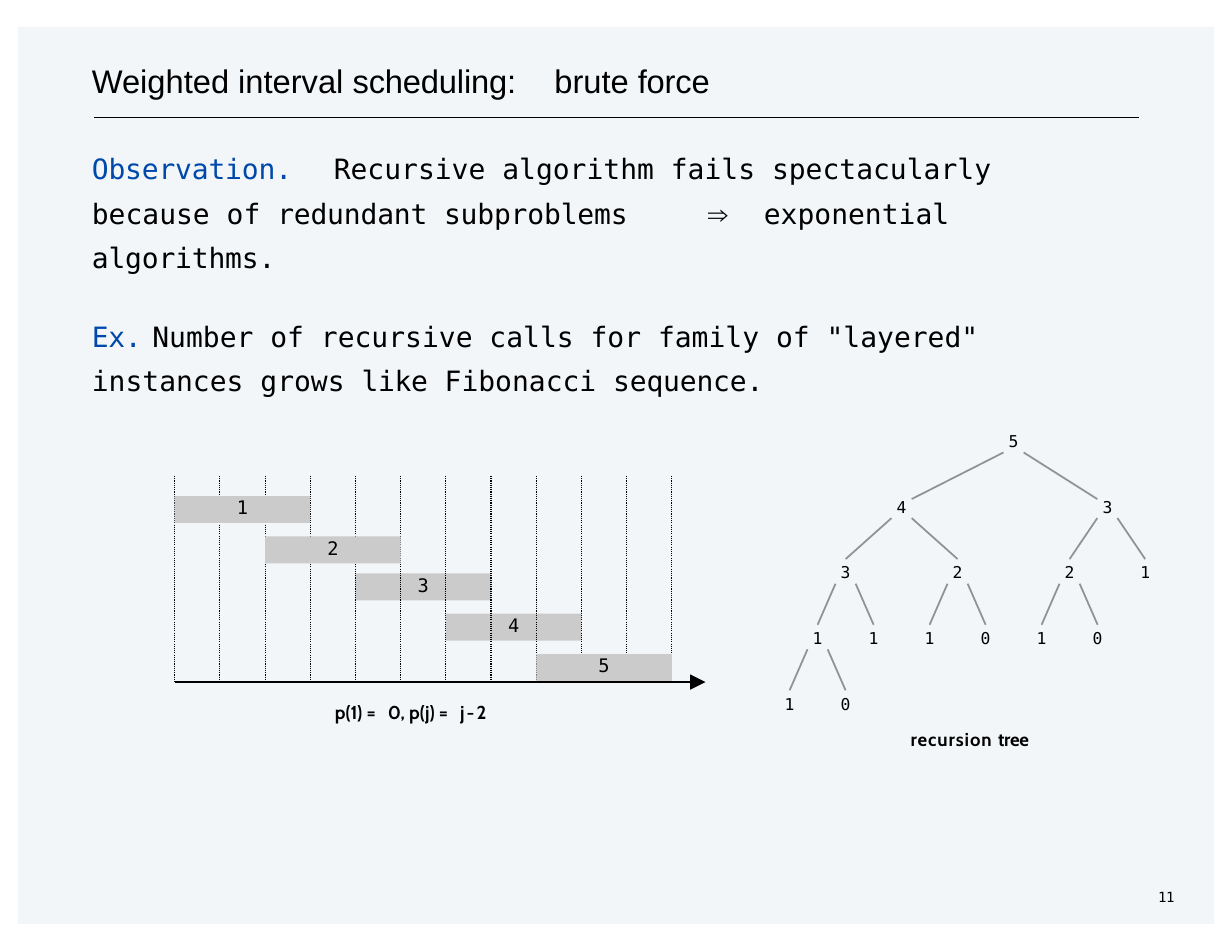
from lxml import etree
from pptx import Presentation
from pptx import util as u
from pptx.dml.color import RGBColor
from pptx.enum import dml, shapes, text
from pptx.oxml.ns import qn

MONO, SANS, LABEL = "DejaVu Sans Mono", "Arial", "Cabin"
INK, BLUE, GREY, BAR = "000000", "0048AA", "929292", "CBCBCB"

# Content: runs are (text, letter spacing in points, then colour or font)
TITLE = [("Weighted interval ", 0), ("scheduling:", -0.1),
         ("\tbrute ", 0), ("force", -0.1)]
BODY = [
    ([1.73, 1.75, 2.16], [
        ("Observation.\t", -0.1, BLUE),
        ("Recursive algorithm fails spectacularly because of ", 0),
        ("redundant subproblems\t\t", -0.1), ("⇒\t", -0.5, INK, SANS),
        ("exponential ", 0), ("algorithms.", -0.1)]),
    ([0.54], [
        ("Ex.\t", -0.2, BLUE),
        ('Number of recursive calls for family of "layered" instances grows ', 0),
        ("like ", -0.2), ("Fibonacci ", 0), ("sequence.", -0.1)]),
]
RULE = [("p(1) ", 0), ("= ", 2.5), ("0, p(j) ", 0), ("= ", 2.5),
        ("j-", 1.4), ("2", 0.4)]
CAPTION = [("recursion ", 0.6), ("tree", -0.2)]

# Interval tops; each bar starts two columns after the one before
TOPS = [4.43, 4.79, 5.12, 5.48, 5.84]
# Recursion tree: (label, column, children)
TREE = ("5", 8, [
    ("4", 4, [
        ("3", 2, [("1", 1, [("1", 0, []), ("0", 2, [])]), ("1", 3, [])]),
        ("2", 6, [("1", 5, []), ("0", 7, [])])]),
    ("3", 11.35, [
        ("2", 10, [("1", 9, []), ("0", 11, [])]),
        ("1", 12.7, [])])])

deck = Presentation()
deck.slide_width, deck.slide_height = u.Inches(11), u.Inches(8.5)
slide = deck.slides.add_slide(deck.slide_layouts[6])


def rgb(code):
    return RGBColor.from_string(code)


def inches(*nums):
    return [u.Inches(n) for n in nums]


def write(para, runs, size, font=MONO, bold=False, tabs=()):
    """Fill a paragraph with runs, setting tab stops first."""
    if tabs:
        stops = etree.SubElement(para._p.get_or_add_pPr(), qn("a:tabLst"))
        for pos in tabs:
            etree.SubElement(stops, qn("a:tab"), pos=str(u.Inches(pos)), algn="l")
    para.font.size, para.font.bold = u.Pt(size), bold
    para.font.name, para.font.color.rgb = font, rgb(INK)
    for words, gap, *style in runs:
        run = para.add_run()
        run.text = words
        run.font._element.set("spc", str(round(gap * 100)))
        if style:
            run.font.color.rgb = rgb(style[0])
        if style[1:]:
            run.font.name = style[1]


def clear(shape, top=0.02):
    """Wrap the text of a shape and drop its insets."""
    frame = shape.text_frame
    frame.word_wrap = True
    frame.margin_left = frame.margin_right = frame.margin_bottom = 0
    frame.margin_top = u.Inches(top)
    frame.vertical_anchor = text.MSO_ANCHOR.TOP
    return frame


def label(x, y, w, h, runs, size, centre=False, **style):
    frame = clear(slide.shapes.add_textbox(*inches(x, y, w, h)))
    para = frame.paragraphs[0]
    write(para, runs, size, **style)
    if centre:
        para.alignment = text.PP_ALIGN.CENTER


def box(x, y, w, h, fill):
    shape = slide.shapes.add_shape(shapes.MSO_SHAPE.RECTANGLE, *inches(x, y, w, h))
    shape.shadow.inherit = False
    shape.fill.solid()
    shape.fill.fore_color.rgb = rgb(fill)
    shape.line.fill.background()
    return shape


def line(x1, y1, x2, y2, colour=INK, width=0.75):
    link = slide.shapes.add_connector(
        shapes.MSO_CONNECTOR.STRAIGHT, *inches(x1, y1, x2, y2))
    link.line.color.rgb, link.line.width = rgb(colour), u.Pt(width)
    etree.SubElement(link._element.spPr, qn("a:effectLst"))
    return link


# Pale panel, heading and rule
panel = box(0.16, 0.24, 10.68, 8.01, "005493")
tint = panel._element.spPr.find(".//" + qn("a:srgbClr"))
etree.SubElement(tint, qn("a:alpha"), val="5000")
line(0.84, 1.05, 10.17, 1.05)
label(0.82, 0.52, 5.6, 0.38, TITLE, 21, font=SANS, tabs=[4.13])

# Body text
frame = clear(slide.shapes.add_textbox(*inches(0.82, 1.24, 9.15, 2.01)))
for i, (tabs, runs) in enumerate(BODY):
    para = frame.add_paragraph() if i else frame.paragraphs[0]
    para.line_spacing = 1.32
    if i:
        para.space_before = u.Pt(22)
    write(para, runs, 18, tabs=tabs)

# Time axis with its arrowhead
LEFT, COL, BASE = 1.56, 0.4035, 6.09
axis = line(LEFT, BASE, 6.3, BASE, width=1.5)
etree.SubElement(axis.line._get_or_add_ln(), qn("a:tailEnd"),
                 type="triangle", w="lg", len="lg")


def interval(i):
    bar = box(LEFT + 2 * i * COL, TOPS[i], 3 * COL, 0.24, BAR)
    para = clear(bar, 0).paragraphs[0]
    write(para, [(str(i + 1), -0.5)], 12)
    para.alignment = text.PP_ALIGN.CENTER


# Grid lines run over bars 3 and 4, and under the others
for i in (2, 3):
    interval(i)
for i in range(12):
    x = LEFT + i * COL
    grid = line(x, 4.25, x, BASE, width=0.7)
    grid.line.dash_style = dml.MSO_LINE.ROUND_DOT
for i in (0, 1, 4):
    interval(i)
label(2.99, 6.24, 1.63, 0.23, RULE, 12, font=LABEL, bold=True)

# Recursion tree
ROOT, STEP, FIRST, LEVEL = 7.05, 0.25, 3.83, 0.586


def grow(node, depth=0):
    name, col, kids = node
    x, y = ROOT + col * STEP, FIRST + depth * LEVEL
    label(x - 0.06, y, 0.12, 0.2, [(name, -0.5)], 10.5, centre=True)
    for kid in kids:
        end = ROOT + kid[1] * STEP
        side = 0.09 if end > x else -0.09
        # The wide top branches stop beside their labels
        dx, dy = (side, 0.04) if depth == 0 else (0, -0.01)
        line(x + side, y + 0.21, end - dx, y + LEVEL + dy, GREY, 1.13)
        grow(kid, depth + 1)


grow(TREE)
label(8.13, 6.48, 1.23, 0.23, CAPTION, 12, font=LABEL, bold=True)

# Page number
label(10.34, 7.91, 0.22, 0.18, [("11", -0.2)], 9)

deck.save("out.pptx")
